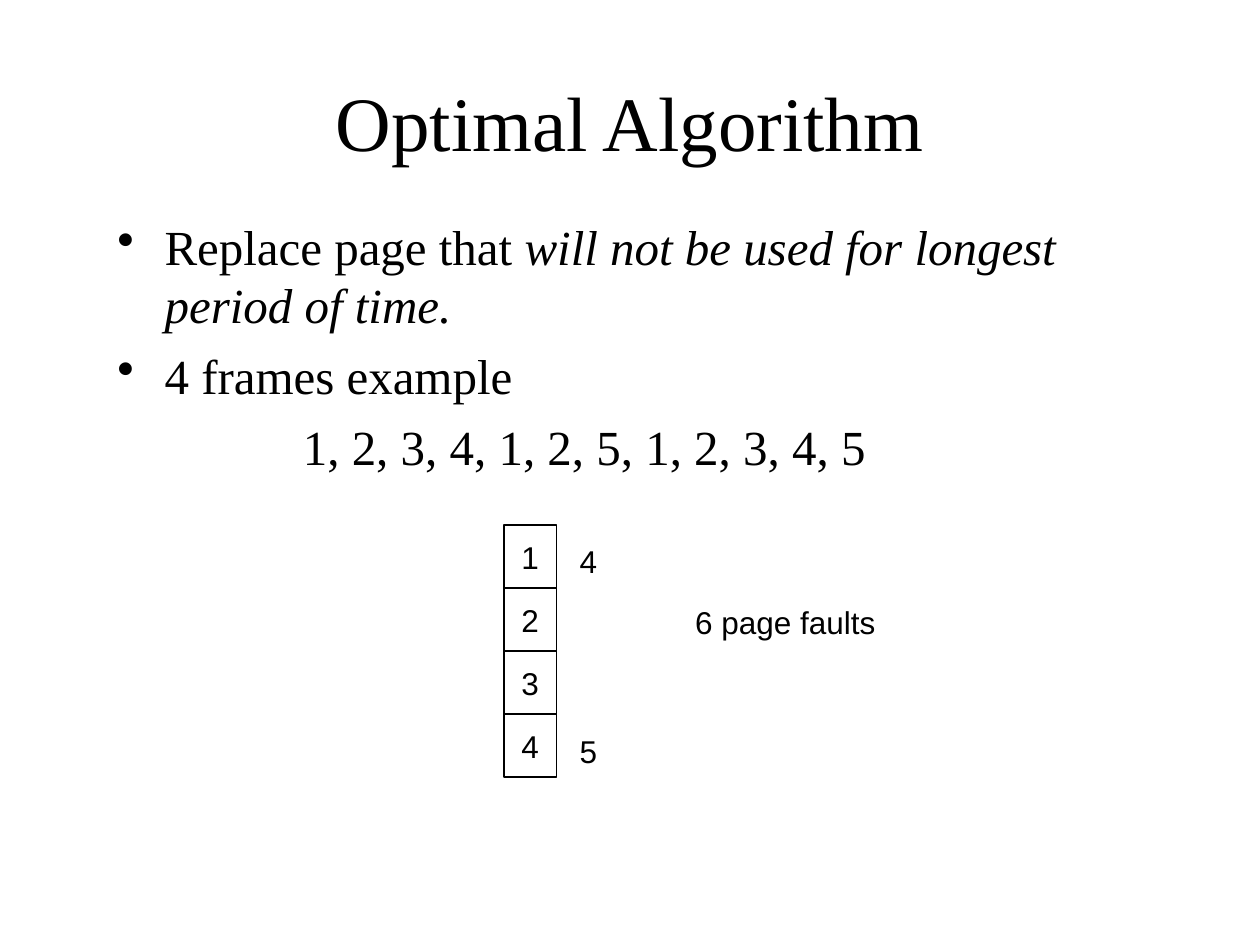
"""Build the Optimal Algorithm page replacement slide."""
from dataclasses import dataclass

from lxml import etree
from pptx import Presentation
from pptx.dml.color import RGBColor
from pptx.enum.shapes import MSO_SHAPE
from pptx.enum.text import MSO_ANCHOR, PP_ALIGN
from pptx.oxml.ns import qn
from pptx.util import Pt

RECTANGLE = MSO_SHAPE.RECTANGLE
MIDDLE = MSO_ANCHOR.MIDDLE
CENTER, LEFT = PP_ALIGN.CENTER, PP_ALIGN.LEFT


@dataclass(frozen=True)
class Theme:
    ink: RGBColor = RGBColor(0, 0, 0)
    paper: RGBColor = RGBColor(255, 255, 255)
    serif: str = "Times New Roman"
    sans: str = "Arial"
    title_size: int = 44
    body_size: int = 28
    label_size: int = 18


theme = Theme()


def add_run(paragraph, text, font_name, size, italic=False):
    run = paragraph.add_run()
    run.text = text
    run.font.name = font_name
    run.font.size = Pt(size)
    run.font.italic = italic
    run.font.color.rgb = theme.ink


def center_text(shape, text, font_name, size, wrap=False):
    frame = shape.text_frame
    frame.word_wrap = wrap
    frame.vertical_anchor = MIDDLE
    paragraph = frame.paragraphs[0]
    paragraph.alignment = CENTER
    add_run(paragraph, text, font_name, size)


presentation = Presentation()
presentation.slide_width, presentation.slide_height = Pt(720), Pt(540)
slide = presentation.slides.add_slide(presentation.slide_layouts[5])
slide.background.fill.solid()
slide.background.fill.fore_color.rgb = theme.paper

title = slide.shapes.title
title.left, title.top, title.width, title.height = Pt(54), Pt(24), Pt(612), Pt(90)
center_text(title, "Optimal Algorithm", theme.serif, theme.title_size, wrap=True)

body = slide.shapes.add_textbox(Pt(60), Pt(120), Pt(612), Pt(324))
body.text_frame.word_wrap = True
body_paragraphs = [
    (27, "•", [("Replace page that ", False),
               ("will not be used for longest period of time.", True)]),
    (27, "•", [("4 frames example", False)]),
    (106, None, [("1, 2, 3, 4, 1, 2, 5, 1, 2, 3, 4, 5", False)]),
]
for index, (margin, bullet, runs) in enumerate(body_paragraphs):
    paragraph = body.text_frame.add_paragraph() if index else body.text_frame.paragraphs[0]
    properties = paragraph._p.get_or_add_pPr()
    properties.set("marL", str(Pt(margin)))
    properties.set("indent", str(Pt(-margin if bullet else 0)))
    if bullet:
        etree.SubElement(properties, qn("a:buChar")).set("char", bullet)
    paragraph.alignment = LEFT
    paragraph.line_spacing = Pt(33.6)
    paragraph.space_before = Pt(7 if index else 0)
    for text, italic in runs:
        add_run(paragraph, text, theme.serif, theme.body_size, italic)

frame_left, frame_top, frame_width, frame_height = 288, 300, 30, 36
for index, page in enumerate("1234"):
    page_frame = slide.shapes.add_shape(
        RECTANGLE, Pt(frame_left), Pt(frame_top + index * frame_height),
        Pt(frame_width), Pt(frame_height))
    page_frame.shadow.inherit = False
    page_frame.fill.solid()
    page_frame.fill.fore_color.rgb = theme.paper
    page_frame.line.color.rgb = theme.ink
    page_frame.line.width = Pt(0.75)
    center_text(page_frame, page, theme.sans, theme.label_size)

labels = [("4", 324, 306, 24.5), ("6 page faults", 390, 341, 117.5), ("5", 324, 414.5, 24.5)]
for text, left, top, width in labels:
    label = slide.shapes.add_textbox(Pt(left), Pt(top), Pt(width), Pt(29))
    center_text(label, text, theme.sans, theme.label_size)

presentation.save("out.pptx")
